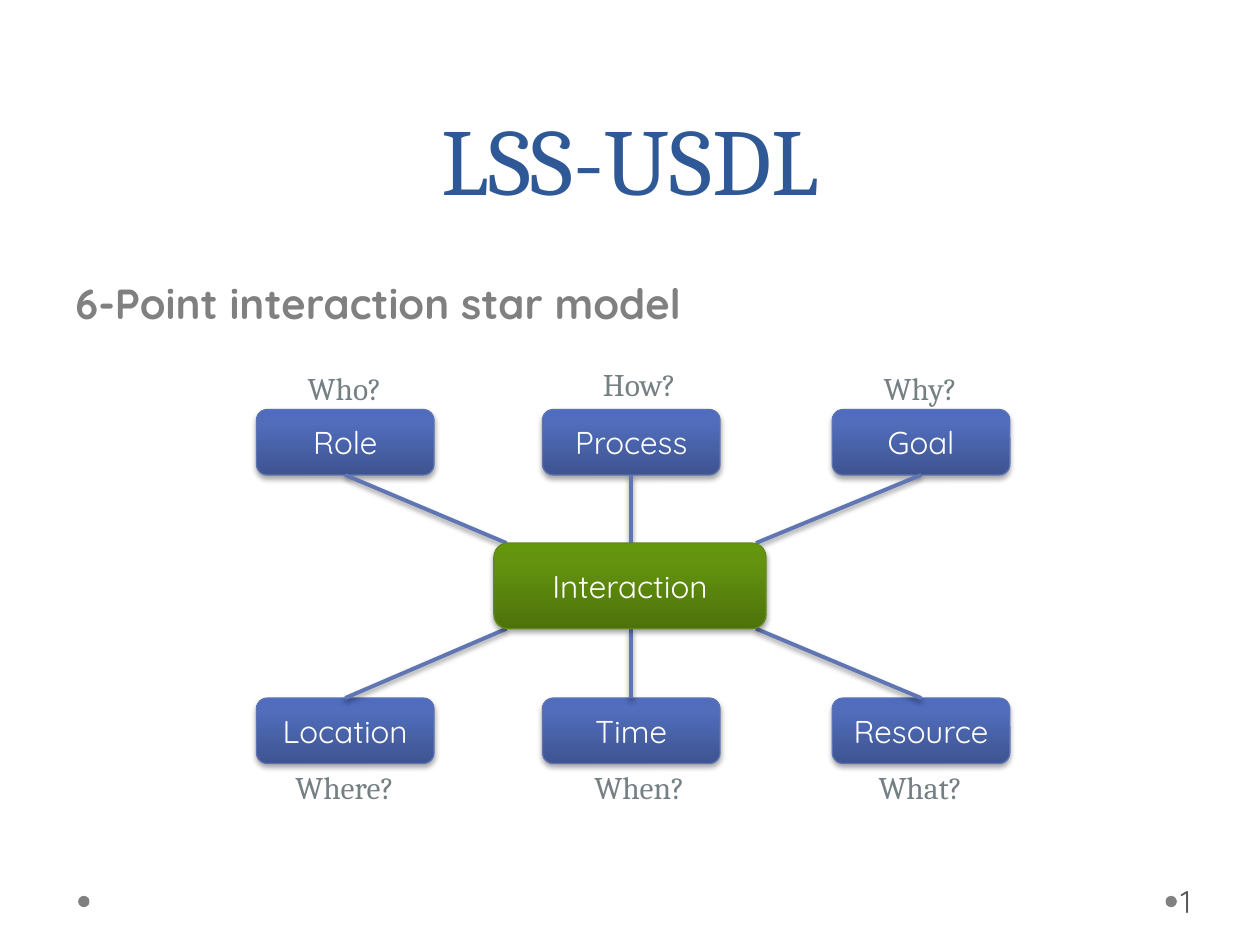
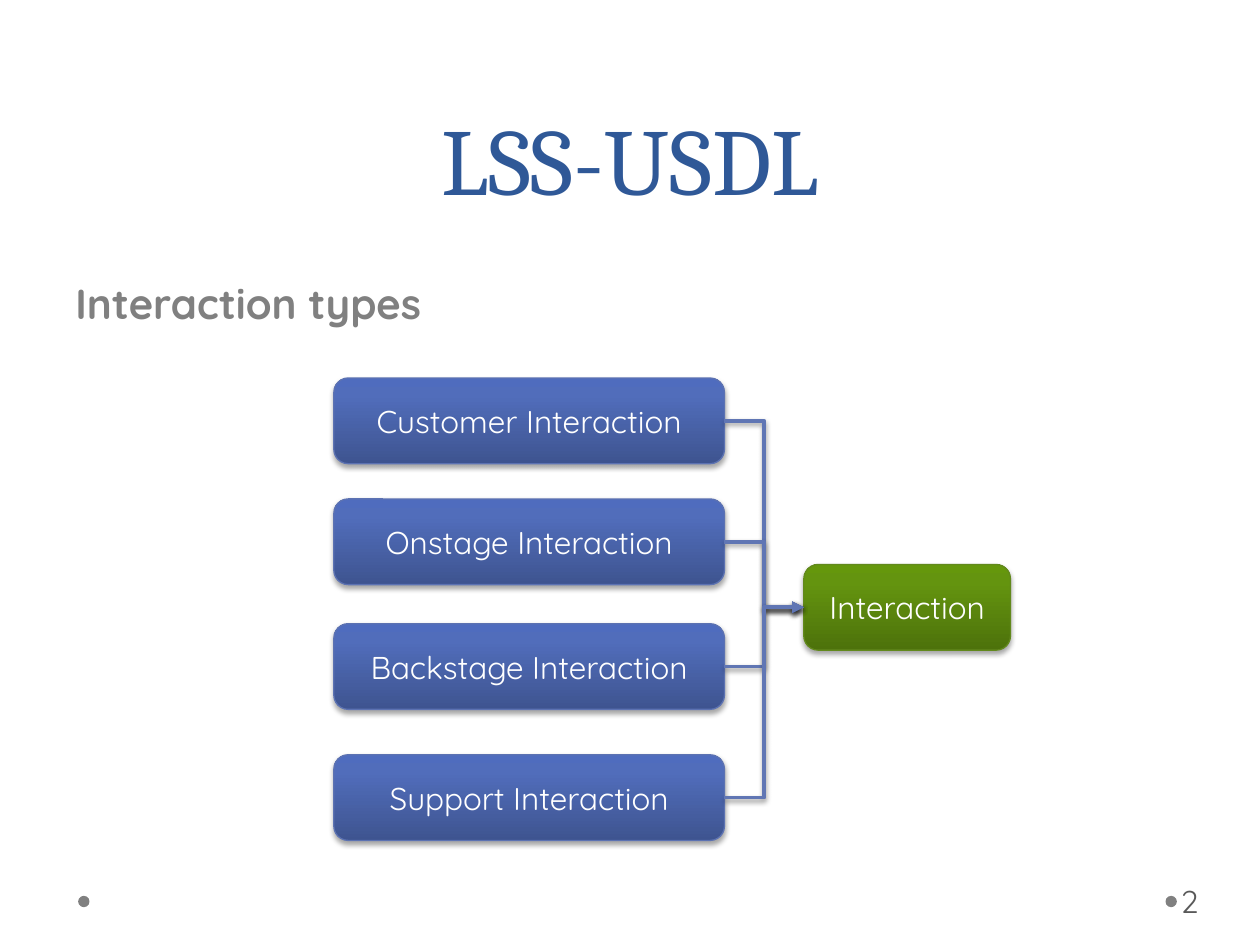
from lxml import etree
from pptx import Presentation
from pptx.dml.color import RGBColor
from pptx.enum.shapes import MSO_CONNECTOR, MSO_SHAPE
from pptx.enum.text import MSO_ANCHOR, MSO_AUTO_SIZE, PP_ALIGN
from pptx.oxml.ns import qn
from pptx.util import Inches, Pt

ROUNDED, OVAL = MSO_SHAPE.ROUNDED_RECTANGLE, MSO_SHAPE.OVAL
STRAIGHT, ELBOW = MSO_CONNECTOR.STRAIGHT, MSO_CONNECTOR.ELBOW
LEFT, CENTER = PP_ALIGN.LEFT, PP_ALIGN.CENTER
TOP, MIDDLE, BOTTOM = MSO_ANCHOR.TOP, MSO_ANCHOR.MIDDLE, MSO_ANCHOR.BOTTOM
LEFT_SITE, RIGHT_SITE = 1, 3

COLORS = {
    "title": "2F5897", "heading": "808080", "dot": "808080",
    "number": "595959", "question": "758085", "node": "FFFFFF",
    "connector": "6076B4", "shadow": "000000",
}
# Gradient stops run from the bottom edge to the top edge
NODE_STYLES = {
    "blue": {"stops": [(0, "3E5490"), (80, "516DBB"), (100, "4F6CBE")],
             "line": "5C72B2"},
    "green": {"stops": [(0, "4D720B"), (80, "64940F"), (100, "65970C")],
              "line": "62891C"},
}
TEXT_STYLES = {
    "title": {"name": "Cambria", "size": Pt(54)},
    "heading": {"name": "Quicksand", "size": Pt(24), "bold": True},
    "number": {"name": "Quicksand", "size": Pt(18)},
    "node": {"name": "Quicksand", "size": Pt(18)},
    "question": {"name": "Cambria", "size": Pt(18)},
}
TITLE = "LSS-USDL"
TITLE_BOX = (0.5, 0, 9, 1.75)
BODY_BOX = (0.5, 1.75, 9, 4.95)
FOOTER_BOX = (0.62, 6.95, 9.33, 0.4)
STAR_BOX = (1.72, 2.85, 6.6, 3.6)
TYPES_BOX = (2.65, 3, 5.37, 3.67)


def inches(*lengths):
    return [Inches(length) for length in lengths]


def set_attributes(target, values):
    for name, value in values.items():
        setattr(target, name, value)


def add_color(parent, color, alpha=None):
    node = etree.SubElement(parent, qn("a:srgbClr"), val=color)
    if alpha is not None:
        etree.SubElement(node, qn("a:alpha"), val=str(alpha * 1000))


def add_shadow(shape, alpha, distance):
    """Soft shadow straight below; distance in points."""
    effects = etree.SubElement(shape._element.spPr, qn("a:effectLst"))
    shadow = etree.SubElement(
        effects, qn("a:outerShdw"), blurRad=str(Pt(3.1)),
        dist=str(Pt(distance)), dir="5400000", rotWithShape="0")
    add_color(shadow, COLORS["shadow"], alpha)


def write(frame, text, style, align=CENTER, anchor=MIDDLE, **spacing):
    set_attributes(frame, {"word_wrap": True, "vertical_anchor": anchor})
    para = frame.paragraphs[0]
    set_attributes(para, {"alignment": align, **spacing})
    span = para.add_run()
    span.text = text
    set_attributes(span.font, TEXT_STYLES[style])
    span.font.color.rgb = RGBColor.from_string(COLORS[style])
    return span


def add_text(page, box, text, style, **layout):
    shape = page.shapes.add_textbox(*inches(*box))
    return shape.text_frame, write(shape.text_frame, text, style, **layout)


def add_node(page, box, text, style):
    """Rounded box with a gradient, a thin outline and a shadow."""
    node = page.shapes.add_shape(ROUNDED, *inches(*box))
    look = NODE_STYLES[style]
    node.fill.gradient()
    node.fill.gradient_angle = 90
    stops = node._element.spPr.find(".//" + qn("a:gsLst"))
    for stop in list(stops):
        stops.remove(stop)
    for position, color in look["stops"]:
        stop = etree.SubElement(stops, qn("a:gs"), pos=str(position * 1000))
        add_color(stop, color)
    node.line.color.rgb = RGBColor.from_string(look["line"])
    node.line.width = Pt(0.75)
    add_shadow(node, 35, 1.8)
    write(node.text_frame, text, "node")
    return node


def add_link(page, kind, start=(0, 0), end=(0, 0), nodes=None):
    """Line between two points, or an arrow glued to two nodes."""
    link = page.shapes.add_connector(kind, *inches(*start, *end))
    link.line.color.rgb = RGBColor.from_string(COLORS["connector"])
    link.line.width = Pt(2.25)
    if nodes:
        link.begin_connect(nodes[0], RIGHT_SITE)
        link.end_connect(nodes[1], LEFT_SITE)
        etree.SubElement(link.line._get_or_add_ln(), qn("a:tailEnd"),
                         type="triangle")
    add_shadow(link, 38, 1.6)


def add_footer(page, box, number):
    left, top, width, height = box
    number_width, dot_size = 0.61, 0.09
    number_left = left + width - number_width
    for dot_left in (number_left - dot_size, left):
        dot = page.shapes.add_shape(
            OVAL, *inches(dot_left, top + 0.16, dot_size, dot_size))
        dot.shadow.inherit = False
        dot.fill.solid()
        dot.fill.fore_color.rgb = RGBColor.from_string(COLORS["dot"])
        dot.line.fill.background()
    frame, span = add_text(page, (number_left, top, number_width, height),
                           str(number), "number", align=LEFT)
    set_attributes(frame, {"margin_left": Inches(0.03),
                           "margin_right": Inches(0.05)})
    # Turn the run into a live slide number field
    field = span._r
    field.tag = qn("a:fld")
    field.set("id", "{B6F15528-21DE-4FAA-801E-634DDDAF4B2B}")
    field.set("type", "slidenum")


def add_page(deck, heading):
    """Blank page with the shared footer, title and heading."""
    page = deck.slides.add_slide(deck.slide_layouts[6])
    add_footer(page, FOOTER_BOX, len(deck.slides))
    add_text(page, TITLE_BOX, TITLE, "title", anchor=BOTTOM,
             line_spacing=Pt(58))
    add_text(page, BODY_BOX, heading, "heading", align=LEFT, anchor=TOP,
             line_spacing=2.0, space_before=Pt(4.8))
    return page


def add_star(page, box):
    """Six points in two rows, joined to a hub in the centre."""
    left, top, width, height = box
    node_width, node_height = 1.41, 0.52
    hub_width, hub_height = 2.16, 0.68
    hub_left, hub_top = left + 2.2, top + 1.46
    hub_center = hub_left + hub_width / 2
    centers = (left + 1.02, left + 3.29, left + 5.59)
    label_lefts = (left, left + 2.34, left + 4.57)
    rows = [
        # node top, node edge facing the hub, hub edge, label tops, points
        (top + 0.4, top + 0.4 + node_height, hub_top,
         (top + 0.03, top, top + 0.03),
         [("Role", "Who?"), ("Process", "How?"), ("Goal", "Why?")]),
        (top + 2.69, top + 2.69, hub_top + hub_height, (top + 3.2,) * 3,
         [("Location", "Where?"), ("Time", "When?"), ("Resource", "What?")]),
    ]
    # Points
    for node_top, _, _, _, points in rows:
        for center, (name, _) in zip(centers, points):
            add_node(page, (center - node_width / 2, node_top,
                            node_width, node_height), name, "blue")
    # Spokes
    for _, node_edge, hub_edge, _, _ in rows:
        for center, offset in zip(centers, (-0.98, 0.01, 1)):
            add_link(page, STRAIGHT, (center, node_edge),
                     (hub_center + offset, hub_edge))
    # Hub
    add_node(page, (hub_left, hub_top, hub_width, hub_height),
             "Interaction", "green")
    # Questions
    for _, _, _, label_tops, points in rows:
        for label_left, label_top, (_, question) in zip(
                label_lefts, label_tops, points):
            frame, _ = add_text(page, (label_left, label_top, 2.03, 0.4),
                                question, "question", anchor=TOP)
            frame.auto_size = MSO_AUTO_SIZE.SHAPE_TO_FIT_TEXT


def add_types(page, box):
    """Stack of types on the left, each with an arrow to the target."""
    left, top, width, height = box
    node_height, target_width = 0.68, 1.64
    target = add_node(page, (left + width - target_width, top + 1.48,
                             target_width, node_height),
                      "Interaction", "green")
    kinds = [("Customer", 0), ("Onstage", 0.96),
             ("Backstage", 1.95), ("Support", 2.99)]
    for kind, offset in kinds:
        node = add_node(page, (left, top + offset, 3.1, node_height),
                        f"{kind} Interaction", "blue")
        add_link(page, ELBOW, nodes=(node, target))


deck = Presentation()
deck.slide_width, deck.slide_height = inches(10, 7.5)
add_star(add_page(deck, "6-Point interaction star model"), STAR_BOX)
add_types(add_page(deck, "Interaction types"), TYPES_BOX)
deck.save("out.pptx")
